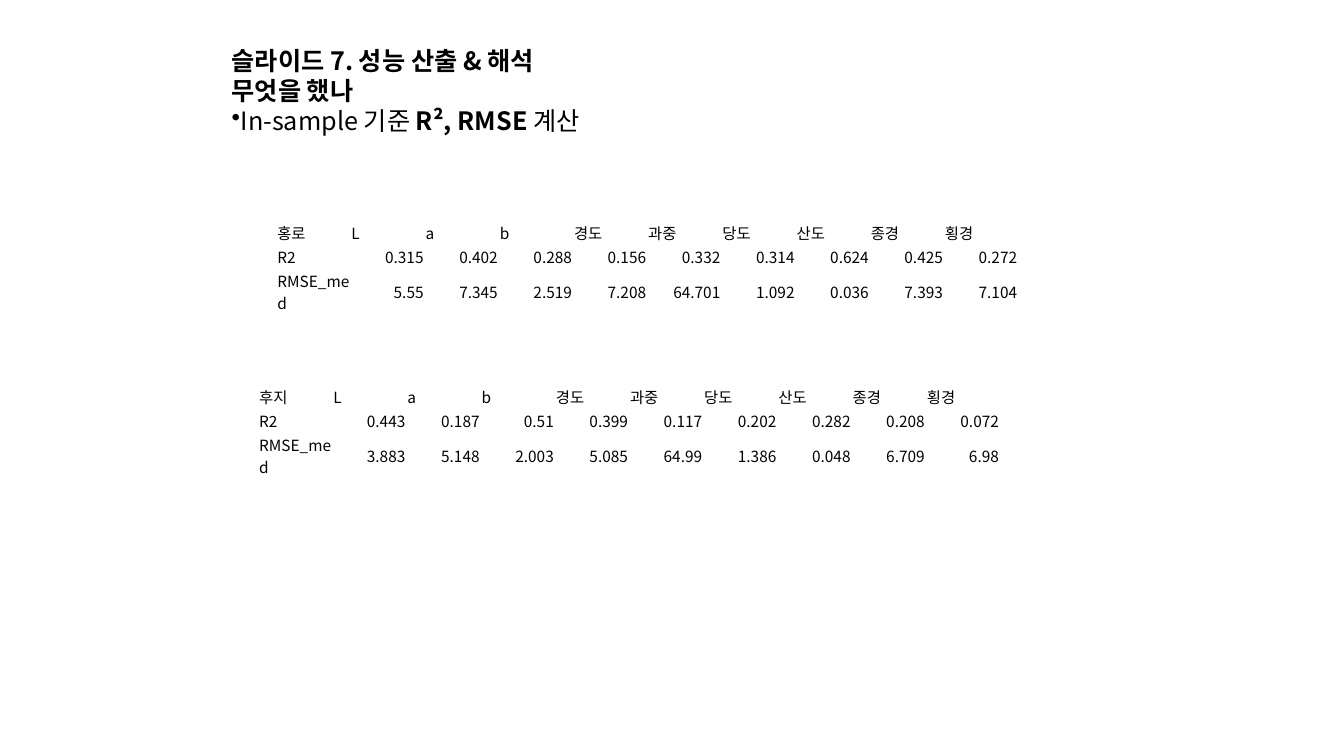
from lxml import etree
from pptx import Presentation
from pptx.dml.color import RGBColor
from pptx.enum.text import MSO_ANCHOR, MSO_AUTO_SIZE, PP_ALIGN
from pptx.oxml.ns import qn
from pptx.util import Inches, Pt

FONT = "Noto Sans CJK KR"
BLACK = "000000"
MIDDLE = MSO_ANCHOR.MIDDLE
LEFT, RIGHT = PP_ALIGN.LEFT, PP_ALIGN.RIGHT
GROW = MSO_AUTO_SIZE.SHAPE_TO_FIT_TEXT
NO_GRID_STYLE = "{2D5ABB26-0587-4C30-8999-92F81FD0307C}"
ROW_HEIGHTS = [0.24, 0.24, 0.45]

HEADING = [
    [("슬라이드 7. 성능 산출 & 해석", True)],
    [("무엇을 했나", True)],
    [("In-sample 기준 ", False), ("R², RMSE", True), (" 계산", False)],
]
TRAITS = ["L", "a", "b", "경도", "과중", "당도", "산도", "종경", "횡경"]
HONGRO = [
    ["홍로", *TRAITS],
    ["R2", "0.315", "0.402", "0.288", "0.156", "0.332", "0.314", "0.624", "0.425", "0.272"],
    ["RMSE_med", "5.55", "7.345", "2.519", "7.208", "64.701", "1.092", "0.036", "7.393", "7.104"],
]
FUJI = [
    ["후지", *TRAITS],
    ["R2", "0.443", "0.187", "0.51", "0.399", "0.117", "0.202", "0.282", "0.208", "0.072"],
    ["RMSE_med", "3.883", "5.148", "2.003", "5.085", "64.99", "1.386", "0.048", "6.709", "6.98"],
]


def color(value):
    """Return the colour of a hex string."""
    return RGBColor.from_string(value)


def format_run(run, size, bold=False):
    """Set the font of a run for Latin and Korean letters."""
    font = run.font
    font.size = Pt(size)
    font.bold = bold
    font.name = FONT
    font.color.rgb = color(BLACK)
    east_asian = etree.SubElement(font._element, qn("a:ea"))
    east_asian.set("typeface", FONT)


def add_bullet(paragraph):
    """Put a bullet directly before the paragraph's text."""
    bullet = etree.SubElement(paragraph._p.get_or_add_pPr(), qn("a:buChar"))
    bullet.set("char", "•")


def add_heading(slide, left, top, width, height):
    """Write the title, the question and the bulleted answer."""
    box = slide.shapes.add_textbox(Inches(left), Inches(top), Inches(width), Inches(height))
    text_frame = box.text_frame
    text_frame.word_wrap = True
    text_frame.auto_size = GROW
    text_frame.text = "\n" * (len(HEADING) - 1)
    for paragraph, pieces in zip(text_frame.paragraphs, HEADING):
        paragraph.line_spacing = Pt(21.5)
        for text, bold in pieces:
            run = paragraph.add_run()
            run.text = text
            format_run(run, 18, bold)
    add_bullet(text_frame.paragraphs[-1])


def fill_cell(cell, text, alignment):
    """Write one plain table cell."""
    cell.fill.background()
    cell.vertical_anchor = MIDDLE
    cell.margin_left = cell.margin_right = cell.margin_top = Inches(0.01)
    cell.margin_bottom = 0
    paragraph = cell.text_frame.paragraphs[0]
    paragraph.text = text
    paragraph.alignment = alignment
    format_run(paragraph.runs[0], 11)


def add_score_table(slide, rows, left, top, width):
    """Add the scores of one apple variety as a table."""
    frame = slide.shapes.add_table(
        len(rows), len(rows[0]),
        Inches(left), Inches(top), Inches(width), Inches(sum(ROW_HEIGHTS)),
    )
    table = frame.table
    table.first_row = False
    table.horz_banding = False
    table._tbl.tblPr.find(qn("a:tableStyleId")).text = NO_GRID_STYLE
    for row, height in zip(table.rows, ROW_HEIGHTS):
        row.height = Inches(height)
    for row_index, values in enumerate(rows):
        for column_index, value in enumerate(values):
            is_score = row_index > 0 and column_index > 0
            fill_cell(table.cell(row_index, column_index), value, RIGHT if is_score else LEFT)


def main():
    """Build and save the slide."""
    presentation = Presentation()
    presentation.slide_width = Inches(13.33)
    presentation.slide_height = Inches(7.5)
    slide = presentation.slides.add_slide(presentation.slide_layouts[6])
    add_heading(slide, 2.2, 0.4, 6.67, 1.01)
    add_score_table(slide, HONGRO, 2.74, 2.18, 7.36)
    add_score_table(slide, FUJI, 2.56, 3.81, 7.36)
    presentation.save("out.pptx")


if __name__ == "__main__":
    main()
